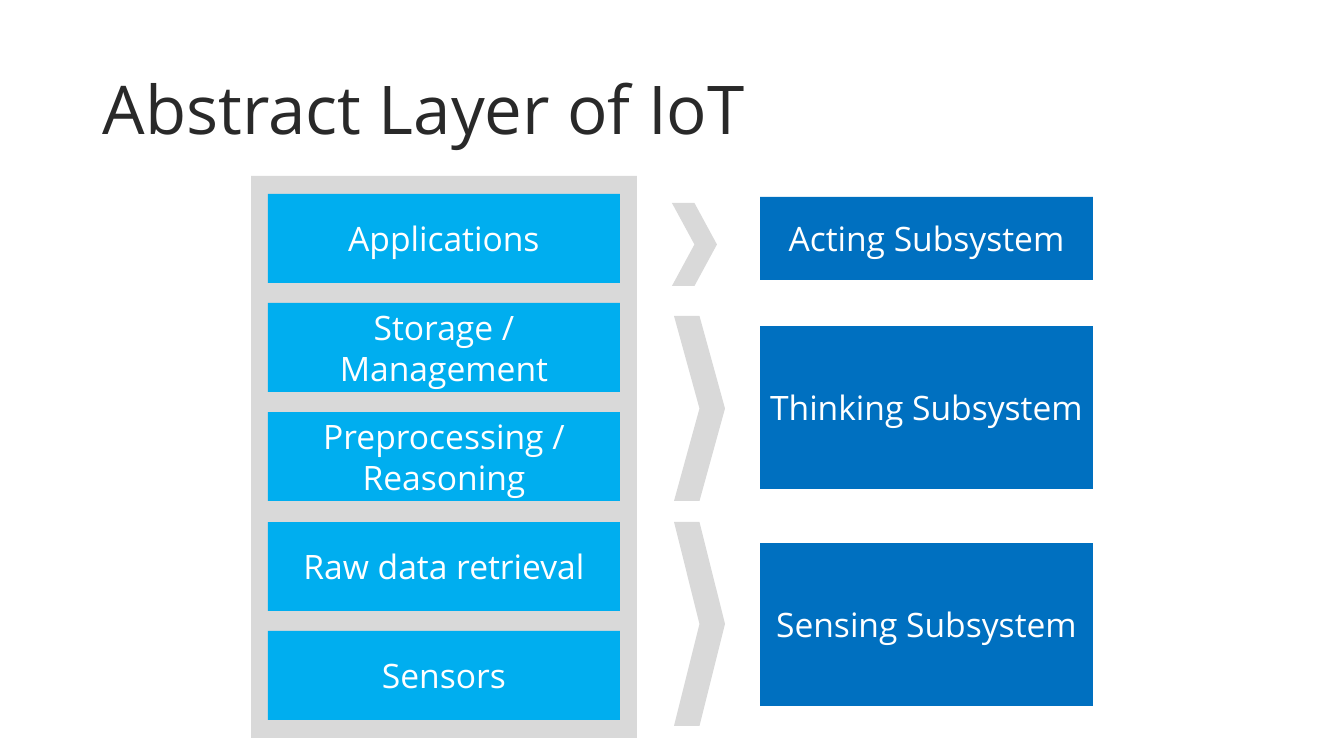
import pptx
import pptx.dml.color
import pptx.enum.shapes
import pptx.enum.text
import pptx.util

RGBColor = pptx.dml.color.RGBColor
Shape = pptx.enum.shapes.MSO_SHAPE
Align = pptx.enum.text.PP_ALIGN
Anchor = pptx.enum.text.MSO_ANCHOR

WHITE = RGBColor(0xFF, 0xFF, 0xFF)
INK = RGBColor(0x29, 0x29, 0x29)
GREY = RGBColor(0xD9, 0xD9, 0xD9)
SKY = RGBColor(0x00, 0xAE, 0xEF)
BLUE = RGBColor(0x00, 0x70, 0xC0)

PIXELS_PER_INCH = 100.8


def px(length):
    """Turn pixels into EMU."""
    return pptx.util.Inches(length / PIXELS_PER_INCH)


def write(box, text, *, font, size, color, align=Align.LEFT, inset=10, spacing=1.0):
    """Put one formatted paragraph into a box, centred vertically."""
    frame = box.text_frame
    frame.word_wrap = True
    frame.vertical_anchor = Anchor.MIDDLE
    frame.margin_left = frame.margin_right = px(inset)
    frame.margin_top = frame.margin_bottom = px(5)
    para = frame.paragraphs[0]
    para.alignment = align
    para.line_spacing = spacing
    span = para.add_run()
    span.text = text
    span.font.name = font
    span.font.size = pptx.util.Pt(size)
    span.font.color.rgb = color


class Painter:
    """Holds the style and the current slide."""

    font = "Open Sans"
    title_size = 48
    label_size = 24

    def __init__(self, page):
        """Draw on the given page."""
        self.page = page

    def title(self, text, left, top, width, height):
        """Add the slide title."""
        box = self.page.shapes.add_textbox(px(left), px(top), px(width), px(height))
        write(box, text, font=self.font, size=self.title_size, color=INK, spacing=0.9)

    def shape(self, kind, fill, left, top, width, height):
        """Add a flat preset shape without outline."""
        shape = self.page.shapes.add_shape(kind, px(left), px(top), px(width), px(height))
        shape.shadow.inherit = False
        shape.fill.solid()
        shape.fill.fore_color.rgb = fill
        shape.line.fill.background()
        return shape

    def label(self, text, fill, left, top, width, height):
        """Add a filled rectangle with a centred white label."""
        box = self.shape(Shape.RECTANGLE, fill, left, top, width, height)
        write(box, text, font=self.font, size=self.label_size, color=WHITE,
              align=Align.CENTER, inset=8)


LAYERS = ["Applications", "Storage / Management", "Preprocessing / Reasoning",
          "Raw data retrieval", "Sensors"]
LAYER_TOP, LAST_LAYER_TOP = 194, 631

# Name, box top and height, chevron left, top, width and height
SUBSYSTEMS = [
    ("Acting Subsystem", 197, 83, (672, 203, 45, 83)),
    ("Thinking Subsystem", 326, 163, (674, 316, 51, 185)),
    ("Sensing Subsystem", 543, 163, (674, 522, 51, 204)),
]

deck = pptx.Presentation()
deck.slide_width, deck.slide_height = px(1344), px(756)
painter = Painter(deck.slides.add_slide(deck.slide_layouts[6]))

painter.title("Abstract Layer of IoT", 93, 40, 1159, 146)

painter.shape(Shape.RECTANGLE, GREY, 251, 176, 386, 562)
pitch = (LAST_LAYER_TOP - LAYER_TOP) / (len(LAYERS) - 1)
for row, layer in enumerate(LAYERS):
    painter.label(layer, SKY, 268, round(LAYER_TOP + row * pitch), 352, 89)

for name, top, height, chevron in SUBSYSTEMS:
    painter.shape(Shape.CHEVRON, GREY, *chevron)
    painter.label(name, BLUE, 760, top, 333, height)

deck.save("out.pptx")
